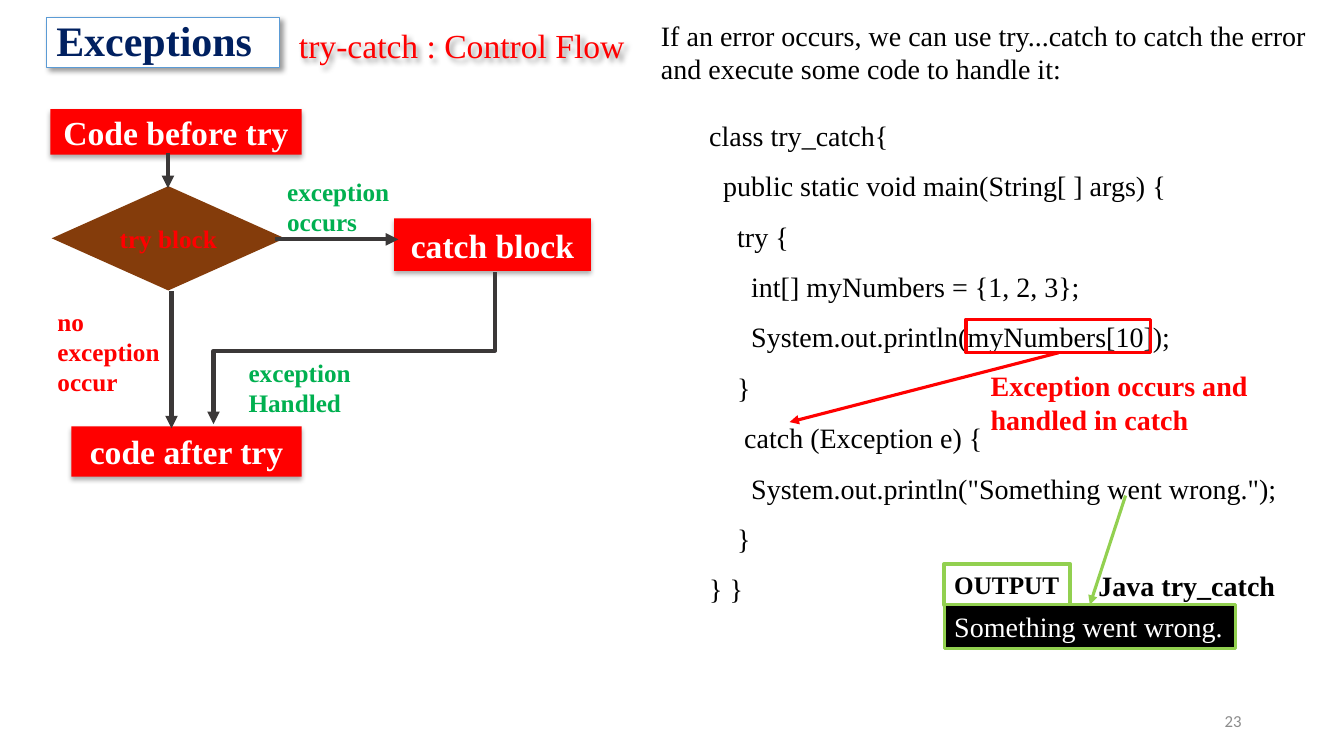
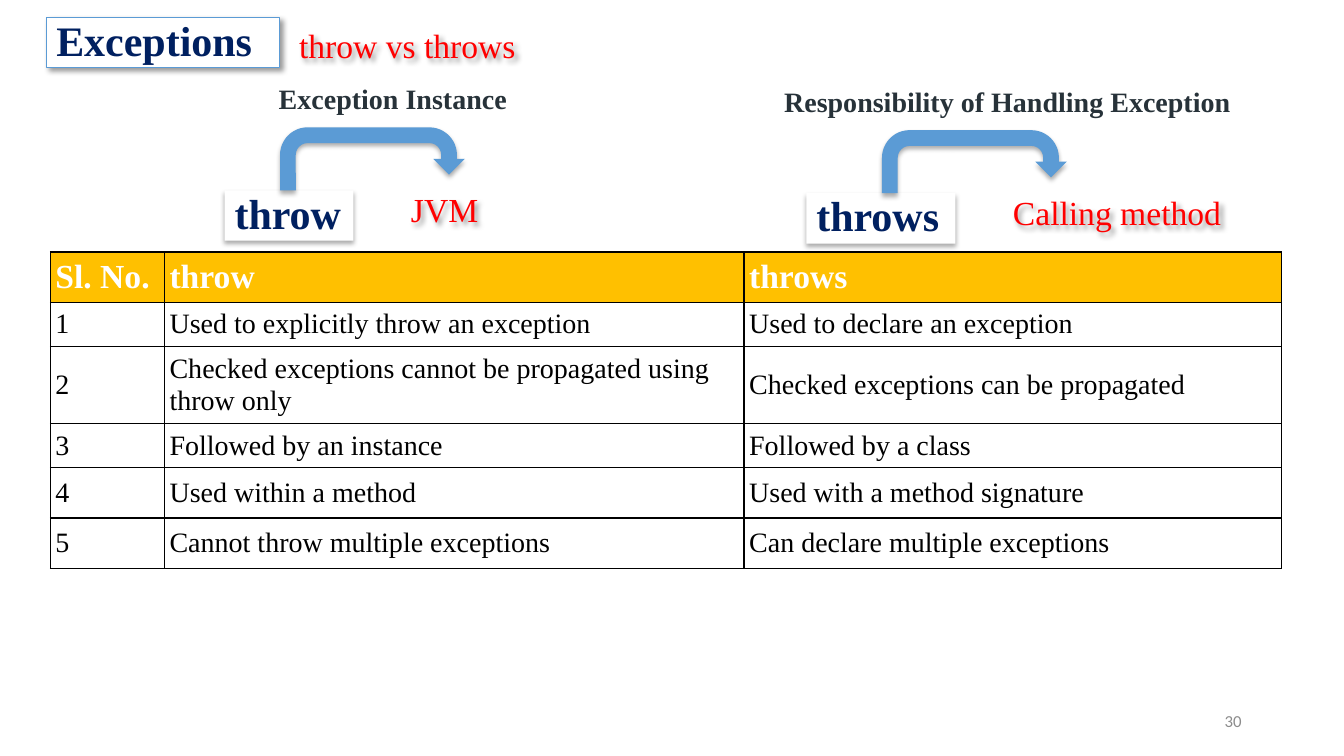
import pptx
import pptx.dml.color
import pptx.enum.shapes
import pptx.enum.text
import pptx.oxml
import pptx.oxml.ns
import pptx.util

Pt = pptx.util.Pt
SHAPES = pptx.enum.shapes.MSO_SHAPE
ALIGN = pptx.enum.text.PP_ALIGN
ANCHOR = pptx.enum.text.MSO_ANCHOR

SERIF = "Times New Roman"
WHITE, BLACK, RED = "FFFFFF", "000000", "FF0000"
NAVY, BLUE, CHARCOAL = "002060", "5B9BD5", "3B3838"
GREEN, LIME, BROWN = "00B050", "92D050", "843C0B"
SLATE, GRAY, GOLD = "273239", "8C8C8C", "FFC000"

CORNER_SHADOW = (40, 4, 3, 45)
DROP_SHADOW = (32, 3.5, 2.2, 90)

FLOW_BOXES = [
    ("Code before try", (36, 78, 179.5, 32.5)),
    ("catch block", (281.5, 156, 140.5, 37.5)),
    ("code after try", (51, 304.5, 164.5, 36)),
]
FLOW_ARROWS = [
    ((120, 109.5), (120, 134.5)),
    ((196.5, 171), (284.5, 171)),
    ((122.5, 208), (122.5, 306)),
]
HANDLED_ROUTE = [(353.5, 194.5), (353.5, 250.5), (152.5, 250.5), (152.5, 303)]
FLOW_LABELS = [
    ("no exception occur", (34, 215, 100, 73), RED),
    ("exception occurs", (198, 122.5, 98, 51), GREEN),
    ("exception Handled", (170.5, 251.5, 114, 51), GREEN),
]
INTRODUCTION = ("If an error occurs, we can use try...catch to catch the error "
                "and execute some code to handle it:")
CODE = [
    "class try_catch{",
    "  public static void main(String[ ] args) {",
    "    try {",
    "      int[] myNumbers = {1, 2, 3};",
    "      System.out.println(myNumbers[10]);",
    "    }",
    "     catch (Exception e) {",
    '      System.out.println("Something went wrong.");',
    "    }",
    "} }",
]

HANDOVERS = [
    {"arrow": (200, 91), "keyword": ("throw", 160.5, 92),
     "target": ("JVM", 63.5), "caption": ("Exception Instance", 192, 220)},
    {"arrow": (630, 93), "keyword": ("throws", 576, 106.5),
     "target": ("Calling method", 164),
     "caption": ("Responsibility of Handling Exception", 553, 341)},
]
COMPARISON = [
    ("Sl. No.", "throw", "throws"),
    ("1", "Used to explicitly throw an exception", "Used to declare an exception"),
    ("2", "Checked exceptions cannot be propagated using throw only",
     "Checked exceptions can be propagated"),
    ("3", "Followed by an instance", "Followed by a class"),
    ("4", "Used within a method", "Used with a method signature"),
    ("5", "Cannot throw multiple exceptions", "Can declare multiple exceptions"),
]
COLUMN_WIDTHS = [81.5, 414, 384]
ROW_HEIGHTS = [36, 31.5, 55, 31.5, 36, 36]


def color(hex_string):
    return pptx.dml.color.RGBColor.from_string(hex_string)


def points(values):
    return [Pt(value) for value in values]


def add_xml(parent, xml):
    namespace = pptx.oxml.ns.nsdecls("a")
    parent.append(pptx.oxml.parse_xml(xml.replace(">", f" {namespace}>", 1)
                                      if "/>" not in xml.split(">", 1)[0] + ">"
                                      else xml.replace("/>", f" {namespace}/>", 1)))


def set_shadow(shape, shadow):
    shape.shadow.inherit = False
    if shadow:
        opacity, blur, distance, angle = shadow
        effects = shape._element.spPr.find(pptx.oxml.ns.qn("a:effectLst"))
        add_xml(effects,
                f'<a:outerShdw blurRad="{Pt(blur)}" dist="{Pt(distance)}" '
                f'dir="{angle * 60000}" algn="ctr" rotWithShape="0">'
                f'<a:srgbClr val="{BLACK}"><a:alpha val="{opacity * 1000}"/>'
                '</a:srgbClr></a:outerShdw>')


def style_shape(shape, fill=None, line=None, width=1, shadow=None):
    if fill:
        shape.fill.solid()
        shape.fill.fore_color.rgb = color(fill)
    else:
        shape.fill.background()
    if line:
        shape.line.color.rgb = color(line)
        shape.line.width = Pt(width)
    else:
        shape.line.fill.background()
    set_shadow(shape, shadow)


def style_paragraph(paragraph, size, ink, bold=False, align=ALIGN.LEFT,
                    spacing=1.0, font=SERIF):
    paragraph.alignment = align
    paragraph.line_spacing = spacing
    paragraph.font.name = font
    paragraph.font.size = Pt(size)
    paragraph.font.bold = bold
    paragraph.font.color.rgb = color(ink)


def write(shape, lines, size, ink, anchor=ANCHOR.TOP, wrap=True, **style):
    frame = shape.text_frame
    frame.auto_size = pptx.enum.text.MSO_AUTO_SIZE.NONE
    frame.word_wrap = wrap
    frame.vertical_anchor = anchor
    frame.text = "\n".join(lines) if isinstance(lines, list) else lines
    for paragraph in frame.paragraphs:
        style_paragraph(paragraph, size, ink, **style)


def add_text(slide, text, box, size, ink, shadow=None, **style):
    text_box = slide.shapes.add_textbox(*points(box))
    style_shape(text_box, shadow=shadow)
    write(text_box, text, size, ink, **style)


def add_box(slide, kind, box, **style):
    shape = slide.shapes.add_shape(kind, *points(box))
    style_shape(shape, **style)
    return shape


def add_arrowhead(shape):
    add_xml(shape.line._get_or_add_ln(), '<a:tailEnd type="triangle"/>')


def add_arrow(slide, start, end, ink, width):
    connector = slide.shapes.add_connector(
        pptx.enum.shapes.MSO_CONNECTOR.STRAIGHT, *points(start + end))
    connector.line.color.rgb = color(ink)
    connector.line.width = Pt(width)
    add_arrowhead(connector)
    add_xml(connector._element.spPr, "<a:effectLst/>")


def add_red_phrase(slide, text, box):
    add_text(slide, text, box, 24, RED, shadow=CORNER_SHADOW,
             anchor=ANCHOR.MIDDLE, wrap=False, spacing=0.9)


def add_topic_slide(presentation, topic, topic_width, number):
    slide = presentation.slides.add_slide(presentation.slide_layouts[5])
    title = slide.shapes.title
    title.left, title.top, title.width, title.height = points((33, 12.5, 167, 36))
    style_shape(title, WHITE, BLUE, 0.75, CORNER_SHADOW)
    write(title, "Exceptions", 30, NAVY, anchor=ANCHOR.MIDDLE, bold=True, spacing=0.9)
    add_red_phrase(slide, topic, (206.5, 17.5, topic_width, 33))
    add_text(slide, number, (678, 500.5, 216, 29), 12, GRAY,
             anchor=ANCHOR.MIDDLE, align=ALIGN.RIGHT, font="Calibri")
    return slide


def build_control_flow(presentation):
    slide = add_topic_slide(presentation, "try-catch : Control Flow", 249, "23")

    for text, box in FLOW_BOXES:
        step = add_box(slide, SHAPES.RECTANGLE, box, fill=RED, shadow=DROP_SHADOW)
        write(step, text, 24, WHITE, anchor=ANCHOR.MIDDLE, bold=True, align=ALIGN.CENTER)
    decision = add_box(slide, SHAPES.DIAMOND, (37, 133, 166.5, 74.5), fill=BROWN)
    write(decision, "try block", 18, RED, anchor=ANCHOR.MIDDLE, bold=True,
          align=ALIGN.CENTER)
    decision.text_frame.margin_left = decision.text_frame.margin_right = 0

    for start, end in FLOW_ARROWS:
        add_arrow(slide, start, end, CHARCOAL, 3)
    route = [points(corner) for corner in HANDLED_ROUTE]
    builder = slide.shapes.build_freeform(*route[0])
    builder.add_line_segments(route[1:], close=False)
    handled_arrow = builder.convert_to_shape()
    style_shape(handled_arrow, line=CHARCOAL, width=3)
    add_arrowhead(handled_arrow)
    for text, box, ink in FLOW_LABELS:
        add_text(slide, text, box, 18, ink, bold=True)

    add_text(slide, INTRODUCTION, (465, 9.5, 480, 55.5), 20, BLACK)
    add_text(slide, CODE, (499.5, 69, 438.5, 371), 20, BLACK, spacing=1.5)
    add_box(slide, SHAPES.RECTANGLE, (690, 228, 132, 24), line=RED, width=2.25)
    add_arrow(slide, (756, 252), (564, 301.5), RED, 2.25)
    add_text(slide, "Exception occurs and handled in catch",
             (700.5, 260, 210, 55.5), 20, RED, bold=True)

    output_label = add_box(slide, SHAPES.RECTANGLE, (674.5, 403, 90, 29),
                           line=LIME, width=3)
    write(output_label, "OUTPUT", 18, BLACK, wrap=False, bold=True)
    add_text(slide, "Java try_catch", (777.5, 402.5, 146, 31.5), 20, BLACK, bold=True)
    output = add_box(slide, SHAPES.RECTANGLE, (674.5, 432, 208, 31.5),
                     fill=BLACK, line=LIME, width=2.25)
    write(output, "Something went wrong.", 20, WHITE, wrap=False)
    add_arrow(slide, (804, 354), (778.5, 432), LIME, 2.25)


def style_cell(cell, text, is_header):
    properties = cell._tc.get_or_add_tcPr()
    for side in ("lnL", "lnR", "lnT", "lnB"):
        add_xml(properties, f'<a:{side} w="{Pt(1)}"><a:solidFill>'
                            f'<a:srgbClr val="{BLACK}"/></a:solidFill></a:{side}>')
    cell.fill.solid()
    cell.fill.fore_color.rgb = color(GOLD if is_header else WHITE)
    cell.vertical_anchor = ANCHOR.MIDDLE
    cell.margin_left = cell.margin_top = cell.margin_bottom = Pt(3.6)
    cell.margin_right = Pt(7.2)
    cell.text = text
    style_paragraph(cell.text_frame.paragraphs[0], 24 if is_header else 20,
                    WHITE if is_header else BLACK, bold=is_header)


def build_throw_comparison(presentation):
    slide = add_topic_slide(presentation, "throw vs throws", 170.5, "30")

    table = slide.shapes.add_table(
        len(COMPARISON), len(COLUMN_WIDTHS),
        *points((36, 180, sum(COLUMN_WIDTHS), sum(ROW_HEIGHTS)))).table
    table.horz_banding = False
    for column, width in zip(table.columns, COLUMN_WIDTHS):
        column.width = Pt(width)
    for row_index, (row, height) in enumerate(zip(table.rows, ROW_HEIGHTS)):
        row.height = Pt(height)
        for cell, text in zip(row.cells, COMPARISON[row_index]):
            style_cell(cell, text, row_index == 0)

    for handover in HANDOVERS:
        left, top = handover["arrow"]
        text, keyword_left, width = handover["keyword"]
        keyword = add_box(slide, SHAPES.RECTANGLE, (keyword_left, top + 45, width, 36),
                          fill=WHITE, shadow=DROP_SHADOW)
        write(keyword, text, 30, NAVY, anchor=ANCHOR.MIDDLE, bold=True, spacing=0.9)
        add_box(slide, SHAPES.U_TURN_ARROW, (left, top, 132, 45),
                fill=BLUE, shadow=DROP_SHADOW)
        text, width = handover["target"]
        add_red_phrase(slide, text, (left + 86.5, top + 44, width, 33))
        text, caption_left, width = handover["caption"]
        add_text(slide, text, (caption_left, top - 36.5, width, 31.5), 20, SLATE, bold=True)


def main():
    presentation = pptx.Presentation()
    presentation.slide_width, presentation.slide_height = Pt(960), Pt(540)
    build_control_flow(presentation)
    build_throw_comparison(presentation)
    presentation.save("out.pptx")


if __name__ == "__main__":
    main()
